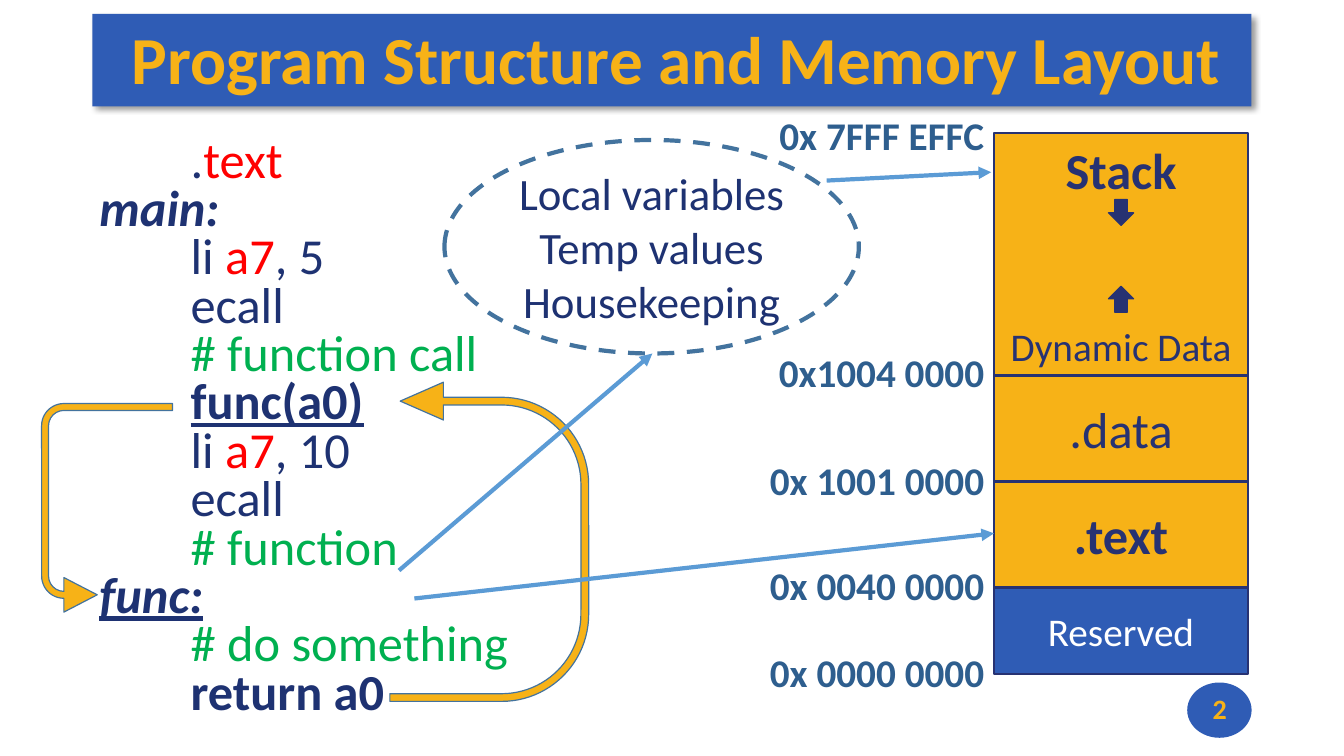
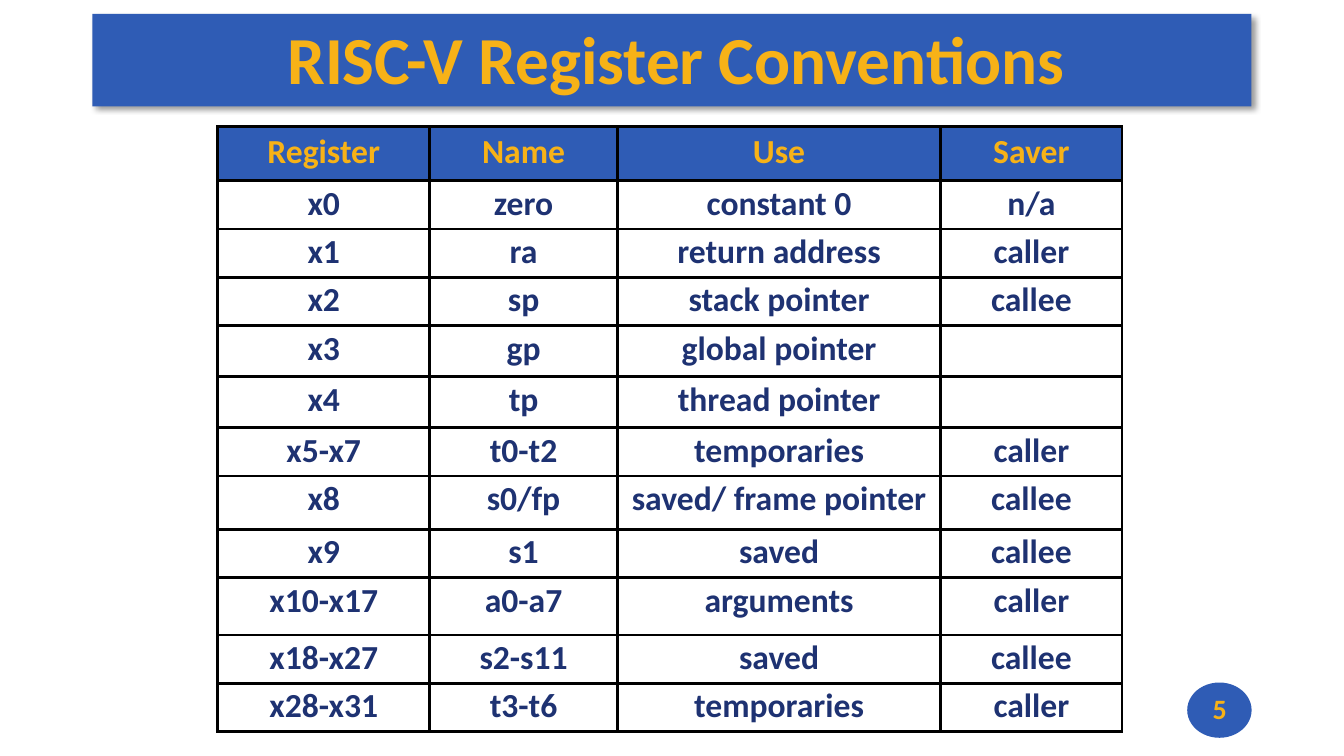
from dataclasses import dataclass
from itertools import accumulate

from lxml import etree
from pptx import Presentation
from pptx.dml.color import RGBColor
from pptx.enum import dml, shapes, text
from pptx.oxml import ns
from pptx.util import Pt

CENTER, RIGHT, LEFT = text.PP_ALIGN.CENTER, text.PP_ALIGN.RIGHT, text.PP_ALIGN.LEFT
SHAPE = shapes.MSO_SHAPE


@dataclass(frozen=True)
class Theme:
    font: str = "Calibri"
    blue: str = "2F5CB5"
    gold: str = "F7B217"
    outline: str = "273272"
    ink: str = "1E3272"
    address: str = "2E5E8E"
    red: str = "FF0000"
    green: str = "00B050"
    steel: str = "43739E"
    arrow: str = "5B9BD5"
    white: str = "FFFFFF"
    black: str = "000000"
    title_size: int = 48
    large_size: int = 36
    note_size: int = 32
    label_size: int = 28
    table_size: int = 24
    number_size: int = 20


THEME = Theme()

INDENT = " " * 8
# Span style: colour, bold, italic, underline
PLAIN = (THEME.ink, False, False, False)
REGISTER = (THEME.red, False, False, False)
COMMENT = (THEME.green, False, False, False)
STRONG = (THEME.ink, True, False, False)
LABEL = (THEME.ink, True, True, False)
CALL = (THEME.ink, True, False, True)
TARGET = (THEME.ink, True, True, True)

CODE = [
    [(INDENT + ".", PLAIN), ("text", REGISTER)],
    [("main:", LABEL)],
    [(INDENT + "li ", PLAIN), ("a7", REGISTER), (", 5", PLAIN)],
    [(INDENT + "ecall", PLAIN)],
    [(INDENT + "# function call", COMMENT)],
    [(INDENT, STRONG), ("func(a0)", CALL)],
    [(INDENT + "li ", PLAIN), ("a7", REGISTER), (", 10", PLAIN)],
    [(INDENT + "ecall", PLAIN)],
    [(INDENT + "# function", COMMENT)],
    [("func:", TARGET)],
    [(INDENT + "# do something", COMMENT)],
    [(INDENT, PLAIN), ("return a0", STRONG)],
]

# Height, fill, then the lines: words, size, colour, bold, space before
SEGMENTS = [
    (173, THEME.gold, [("Stack", THEME.large_size, THEME.outline, True, 0),
                       ("Dynamic Data", THEME.label_size, THEME.outline, False, 88)]),
    (76, THEME.gold, [(".data", THEME.large_size, THEME.outline, False, 0)]),
    (75.5, THEME.gold, [(".text", THEME.large_size, THEME.outline, True, 0)]),
    (62, THEME.blue, [("Reserved", THEME.label_size, THEME.white, False, 0)]),
]

ADDRESSES = [("0x 7FFF EFFC", 74), ("0x1004 0000", 243.5), ("0x 1001 0000", 320.5),
             ("0x 0040 0000", 395.5), ("0x 0000 0000", 458)]

REGISTERS = [
    ("Register", "Name", "Use", "Saver"),
    ("x0", "zero", "constant 0", "n/a"),
    ("x1", "ra", "return address", "caller"),
    ("x2", "sp", "stack pointer", "callee"),
    ("x3", "gp", "global pointer", ""),
    ("x4", "tp", "thread pointer", ""),
    ("x5-x7", "t0-t2", "temporaries", "caller"),
    ("x8", "s0/fp", "saved/ frame pointer", "callee"),
    ("x9", "s1", "saved", "callee"),
    ("x10-x17", "a0-a7", "arguments", "caller"),
    ("x18-x27", "s2-s11", "saved", "callee"),
    ("x28-x31", "t3-t6", "temporaries", "caller"),
]
COLUMN_WIDTHS = (151.5, 134, 231, 129.5)
ROW_HEIGHT = 34.5
TALL_ROWS = {0: 38.5, 4: 36.5, 5: 36.5, 7: 38, 9: 41}


def rgb(colour):
    return RGBColor.from_string(colour)


def points(*lengths):
    return [Pt(length) for length in lengths]


def style(font, size, colour, bold=False):
    font.name, font.size, font.bold = THEME.font, Pt(size), bold
    font.color.rgb = rgb(colour)


def write(frame, lines, align=CENTER, anchor=text.MSO_ANCHOR.MIDDLE, insets=None, wrap=True):
    """Fill a frame with (words, size, colour, bold, space before) lines."""
    frame.word_wrap, frame.auto_size = wrap, text.MSO_AUTO_SIZE.NONE
    frame.vertical_anchor = anchor
    if insets:
        (frame.margin_left, frame.margin_top,
         frame.margin_right, frame.margin_bottom) = points(*insets)
    for index, (words, size, colour, bold, before) in enumerate(lines):
        para = frame.add_paragraph() if index else frame.paragraphs[0]
        para.text, para.alignment = words, align
        if before:
            para.space_before = Pt(before)
        style(para.font, size, colour, bold)


def add_block(page, kind, at, fill=None, line=None, width=1.0):
    box = page.shapes.add_shape(kind, *points(*at))
    box.shadow.inherit = False
    if fill:
        box.fill.solid()
        box.fill.fore_color.rgb = rgb(fill)
    else:
        box.fill.background()
    if line:
        box.line.color.rgb, box.line.width = rgb(line), Pt(width)
    else:
        box.line.fill.background()
    return box


def add_label(page, at, words, size, colour, **options):
    box = page.shapes.add_textbox(*points(*at))
    write(box.text_frame, [(words, size, colour, True, 0)], **options)


def add_arrow(page, start, end):
    line = page.shapes.add_connector(shapes.MSO_CONNECTOR.STRAIGHT, *points(*start, *end))
    line.line.color.rgb, line.line.width = rgb(THEME.arrow), Pt(3)
    etree.SubElement(line.line._get_or_add_ln(), ns.qn("a:tailEnd"), type="triangle")
    etree.SubElement(line._element.spPr, ns.qn("a:effectLst"))


def add_uturn(page, at, rotation, adjustments):
    arrow = add_block(page, SHAPE.U_TURN_ARROW, at, THEME.gold, THEME.steel, 0.85)
    arrow.rotation = rotation
    arrow._element.spPr.xfrm.set("flipH", "1")
    for index, value in enumerate(adjustments):
        arrow.adjustments[index] = value


def add_code(page, at):
    frame = page.shapes.add_textbox(*points(*at)).text_frame
    frame.word_wrap = True
    for index, line in enumerate(CODE):
        para = frame.add_paragraph() if index else frame.paragraphs[0]
        para.line_spacing = 0.8
        for words, (colour, bold, italic, underline) in line:
            span = para.add_run()
            span.text = words
            style(span.font, THEME.large_size, colour, bold)
            span.font.italic, span.font.underline = italic, underline


def add_memory_map(page, left, top, width):
    heights = [segment[0] for segment in SEGMENTS]
    tops = accumulate(heights[:-1], initial=top)
    for y, (height, fill, lines) in zip(tops, SEGMENTS):
        box = add_block(page, SHAPE.RECTANGLE, (left, y, width, height), fill, THEME.outline, 2)
        write(box.text_frame, lines)
    for kind, y in ((SHAPE.DOWN_ARROW, 142.5), (SHAPE.UP_ARROW, 204.5)):
        add_block(page, kind, (left + width / 2 - 9, y, 18, 18.5),
                  THEME.outline, THEME.outline, 0.85)
    for words, y in ADDRESSES:
        add_label(page, (533, y, 170, 44), words, THEME.label_size, THEME.address,
                  align=RIGHT, insets=(6, 2, 0, 2))


def set_borders(cell, colour, width):
    properties = cell._tc.get_or_add_tcPr()
    for index, side in enumerate("LRTB"):
        line = etree.Element(ns.qn(f"a:ln{side}"), w=str(Pt(width)))
        fill = etree.SubElement(line, ns.qn("a:solidFill"))
        etree.SubElement(fill, ns.qn("a:srgbClr"), val=colour)
        properties.insert(index, line)


def add_register_table(page, left, top):
    heights = [TALL_ROWS.get(row, ROW_HEIGHT) for row in range(len(REGISTERS))]
    table = page.shapes.add_table(len(heights), len(COLUMN_WIDTHS), *points(
        left, top, sum(COLUMN_WIDTHS), sum(heights))).table
    table.first_row = table.horz_banding = False
    for column, width in zip(table.columns, COLUMN_WIDTHS):
        column.width = Pt(width)
    for index, (row, height, values) in enumerate(zip(table.rows, heights, REGISTERS)):
        row.height = Pt(height)
        is_header = index == 0
        for cell, value in zip(row.cells, values):
            cell.fill.solid()
            cell.fill.fore_color.rgb = rgb(THEME.blue if is_header else THEME.white)
            set_borders(cell, THEME.black, 2.25)
            para = cell.text_frame.paragraphs[0]
            para.text, para.alignment = value, CENTER
            para.line_spacing = 1.0 if is_header else 0.9
            style(para.font, THEME.table_size, THEME.gold if is_header else THEME.ink, True)


def add_shadow(box):
    effects = box._element.spPr.find(ns.qn("a:effectLst"))
    shadow = etree.SubElement(effects, ns.qn("a:outerShdw"), blurRad=str(Pt(4)),
                              dist=str(Pt(3)), dir=str(45 * 60000), algn="tl")
    colour = etree.SubElement(shadow, ns.qn("a:srgbClr"), val=THEME.black)
    etree.SubElement(colour, ns.qn("a:alpha"), val="40000")


def decorate_layout(layout, page):
    """Put the title band and number badge on the layout, by way of a page."""
    band = add_block(page, SHAPE.RECTANGLE, (66, 10, 828, 66), THEME.blue)
    add_shadow(band)
    badge = add_block(page, SHAPE.OVAL, (848, 487.5, 46, 39.5), THEME.blue)
    for index, box in enumerate((band, badge), start=2):
        layout.shapes.element.insert(index, box._element)


def add_page(deck, layout, title, number):
    page = deck.slides.add_slide(layout)
    heading = page.shapes.title
    heading.left, heading.top, heading.width, heading.height = points(66, 8.5, 828, 66)
    write(heading.text_frame, [(title, THEME.title_size, THEME.gold, True, 0)],
          insets=(6, 2, 0, 2))
    add_label(page, (848, 487.5, 46.5, 37.5), number, THEME.number_size, THEME.gold)
    return page


def fill_memory_page(page):
    add_memory_map(page, 710, 95, 181.5)
    add_code(page, (64, 96, 390, 426))
    add_uturn(page, (235.5, 316, 228, 142), 90, (0.039, 0.095, 0.217, 0.438, 0.948))
    add_uturn(page, (2, 316, 149, 93.5), 270, (0.053, 0.132, 0.255, 0.17, 0.425))
    add_arrow(page, (296, 427.5), (710, 381))
    bubble = add_block(page, SHAPE.OVAL, (317.5, 100, 296, 152.5), line=THEME.steel, width=3)
    bubble.line.dash_style = dml.MSO_LINE.DASH
    write(bubble.text_frame, [(words, THEME.note_size, THEME.ink, False, 0) for words in
                              ("Local variables", "Temp values", "Housekeeping")], wrap=False)
    add_arrow(page, (590.5, 129), (708, 123))
    add_arrow(page, (285, 407.5), (466, 252.5))


def main():
    deck = Presentation()
    deck.slide_width, deck.slide_height = points(960, 540)
    layout = deck.slide_layouts.get_by_name("Title Only")
    memory = add_page(deck, layout, "Program Structure and Memory Layout", "2")
    decorate_layout(layout, memory)
    fill_memory_page(memory)
    registers = add_page(deck, layout, "RISC-V Register Conventions", "5")
    add_register_table(registers, 155.5, 90.5)
    deck.save("out.pptx")


if __name__ == "__main__":
    main()
